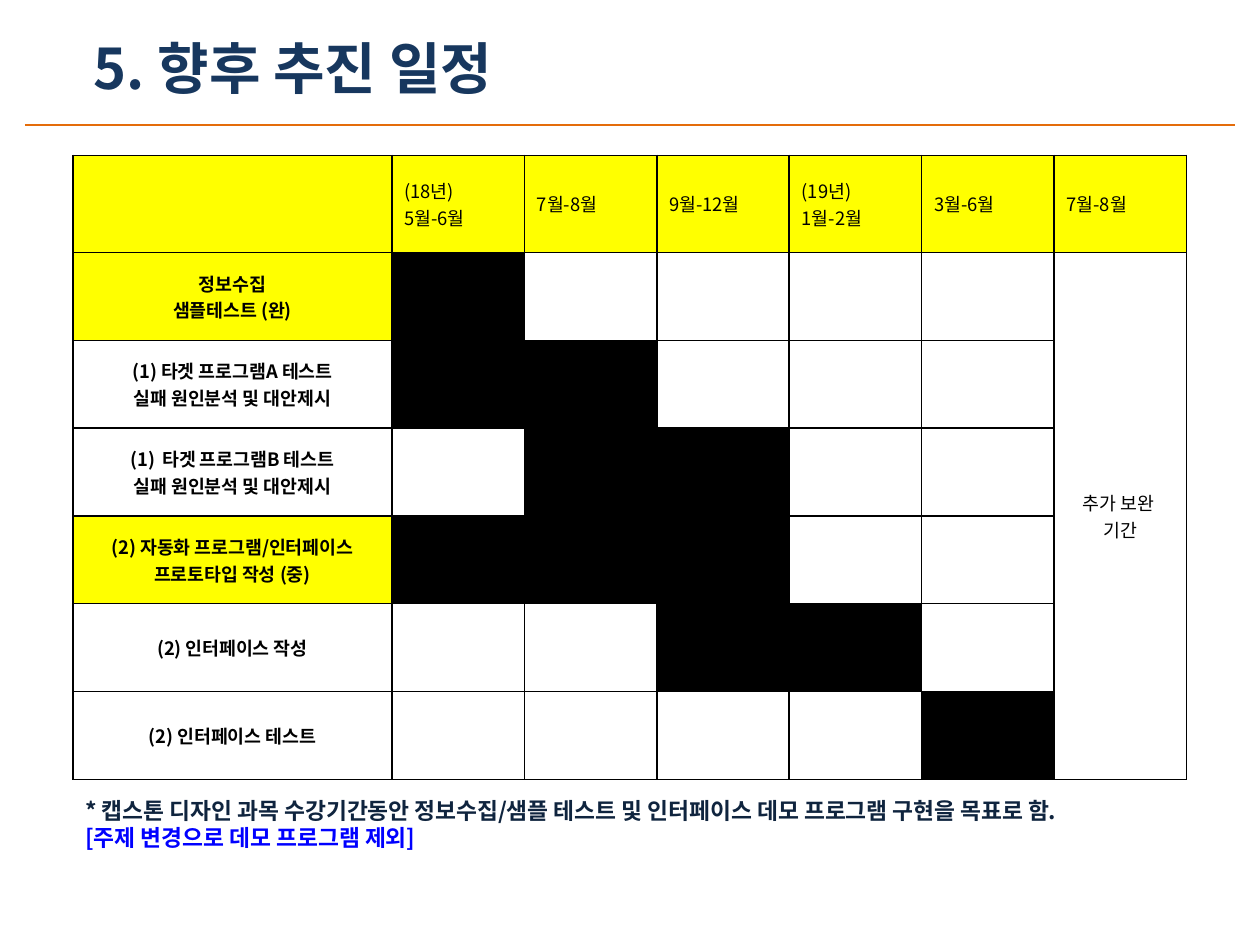
from lxml import etree
from pptx import Presentation
from pptx.dml.color import RGBColor
from pptx.enum.shapes import MSO_CONNECTOR
from pptx.enum.text import MSO_ANCHOR, MSO_AUTO_SIZE, PP_ALIGN
from pptx.oxml.ns import qn
from pptx.util import Cm, Pt

STRAIGHT = MSO_CONNECTOR.STRAIGHT
MIDDLE, TOP = MSO_ANCHOR.MIDDLE, MSO_ANCHOR.TOP
LEFT, CENTER = PP_ALIGN.LEFT, PP_ALIGN.CENTER
NO_AUTOFIT = MSO_AUTO_SIZE.NONE

FONT = "Noto Sans CJK KR"
COLORS = {
    "title": "17375E", "rule": "E46C0A", "note": "0F243E", "change": "0000FF",
    "highlight": "FFFF00", "busy": "000000", "free": "FFFFFF", "text": "000000",
}
FORMATS = {
    "title": {"size": Pt(32), "bold": True, "name": FONT},
    "note": {"size": Pt(13), "bold": True, "name": FONT},
    "period": {"size": Pt(10.5), "bold": False, "name": FONT},
    "task": {"size": Pt(10.5), "bold": True, "name": FONT},
}

PERIODS = ["", "(18년)\n5월-6월", "7월-8월", "9월-12월",
           "(19년)\n1월-2월", "3월-6월", "7월-8월"]
TASKS = [
    ("정보수집\n샘플테스트 (완)", "highlight", [1]),
    ("(1) 타겟 프로그램A 테스트\n실패 원인분석 및 대안제시", "free", [1, 2]),
    ("타겟 프로그램B 테스트\n실패 원인분석 및 대안제시", "free", [2, 3]),
    ("(2) 자동화 프로그램/인터페이스\n프로토타입 작성 (중)", "highlight", [1, 2, 3]),
    ("(2) 인터페이스 작성", "free", [3, 4]),
    ("(2) 인터페이스 테스트", "free", [5]),
]
NUMBERED_ROW = 3


def format_text(paragraphs, kind, color, alignment):
    for paragraph in paragraphs:
        paragraph.alignment = alignment
        for run in paragraph.runs:
            for attribute, value in FORMATS[kind].items():
                setattr(run.font, attribute, value)
            run.font.color.rgb = RGBColor.from_string(COLORS[color])
            etree.SubElement(run.font._element, qn("a:ea"), typeface=FONT)


def paint_cell(cell, color):
    properties = cell._tc.get_or_add_tcPr()
    for side in ("lnL", "lnR", "lnT", "lnB"):
        border = etree.SubElement(properties, qn(f"a:{side}"), w=str(Pt(1)))
        solid = etree.SubElement(border, qn("a:solidFill"))
        etree.SubElement(solid, qn("a:srgbClr"), val=COLORS["busy"])
    cell.fill.solid()
    cell.fill.fore_color.rgb = RGBColor.from_string(COLORS[color])


prs = Presentation()
prs.slide_width, prs.slide_height = Cm(25.4), Cm(19.05)
slide = prs.slides.add_slide(prs.slide_layouts[5])

rule = slide.shapes.add_connector(STRAIGHT, Cm(0.5), Cm(2.52), Cm(24.9), Cm(2.52))
rule.line.color.rgb = RGBColor.from_string(COLORS["rule"])
rule.line.width = Pt(1.5)
etree.SubElement(rule._element.spPr, qn("a:effectLst"))

title = slide.shapes.title
title.left, title.top, title.width, title.height = Cm(1.63), Cm(0.53), Cm(8.94), Cm(1.63)
title.text_frame.text = "5. 향후 추진 일정"
title_layout = {"word_wrap": False, "auto_size": NO_AUTOFIT, "vertical_anchor": MIDDLE}
for attribute, value in title_layout.items():
    setattr(title.text_frame, attribute, value)
format_text(title.text_frame.paragraphs, "title", "title", LEFT)

note = slide.shapes.add_textbox(Cm(1.47), Cm(15.93), Cm(22.48), Cm(1.37)).text_frame
note.text = ("* 캡스톤 디자인 과목 수강기간동안 정보수집/샘플 테스트 및 인터페이스 데모 프로그램 구현을 목표로 함.\n"
             "[주제 변경으로 데모 프로그램 제외]")
note_layout = {"word_wrap": True, "auto_size": NO_AUTOFIT, "vertical_anchor": TOP}
for attribute, value in note_layout.items():
    setattr(note, attribute, value)
for paragraph, color in zip(note.paragraphs, ("note", "change")):
    format_text([paragraph], "note", color, LEFT)

schedule = slide.shapes.add_table(
    len(TASKS) + 1, len(PERIODS), Cm(1.47), Cm(3.13), Cm(22.48), Cm(12.57)).table
for index, column in enumerate(schedule.columns):
    column.width = Cm(2.67) if index else Cm(6.43)
for index, row in enumerate(schedule.rows):
    row.height = Cm(1.77) if index else Cm(1.96)

for column, period in enumerate(PERIODS):
    cell = schedule.cell(0, column)
    cell.text = period
    cell.vertical_anchor = MIDDLE
    format_text(cell.text_frame.paragraphs, "period", "text", LEFT)
    paint_cell(cell, "highlight")

for row, (task, task_color, busy_columns) in enumerate(TASKS, start=1):
    task_cell = schedule.cell(row, 0)
    task_cell.text = task
    task_cell.vertical_anchor = MIDDLE
    format_text(task_cell.text_frame.paragraphs, "task", "text", CENTER)
    paint_cell(task_cell, task_color)
    for column in range(1, len(PERIODS)):
        paint_cell(schedule.cell(row, column), "busy" if column in busy_columns else "free")

numbering = schedule.cell(NUMBERED_ROW, 0).text_frame.paragraphs[0]._p.get_or_add_pPr()
numbering.set("marL", str(Cm(0.64)))
numbering.set("indent", str(Cm(-0.64)))
etree.SubElement(numbering, qn("a:buFont"), typeface=FONT)
etree.SubElement(numbering, qn("a:buAutoNum"), type="arabicParenBoth")

extra_period = schedule.cell(1, len(PERIODS) - 1)
extra_period.merge(schedule.cell(len(TASKS), len(PERIODS) - 1))
extra_period.text = "추가 보완 \n기간"
extra_period.vertical_anchor = MIDDLE
format_text(extra_period.text_frame.paragraphs, "period", "text", CENTER)

prs.save("out.pptx")
